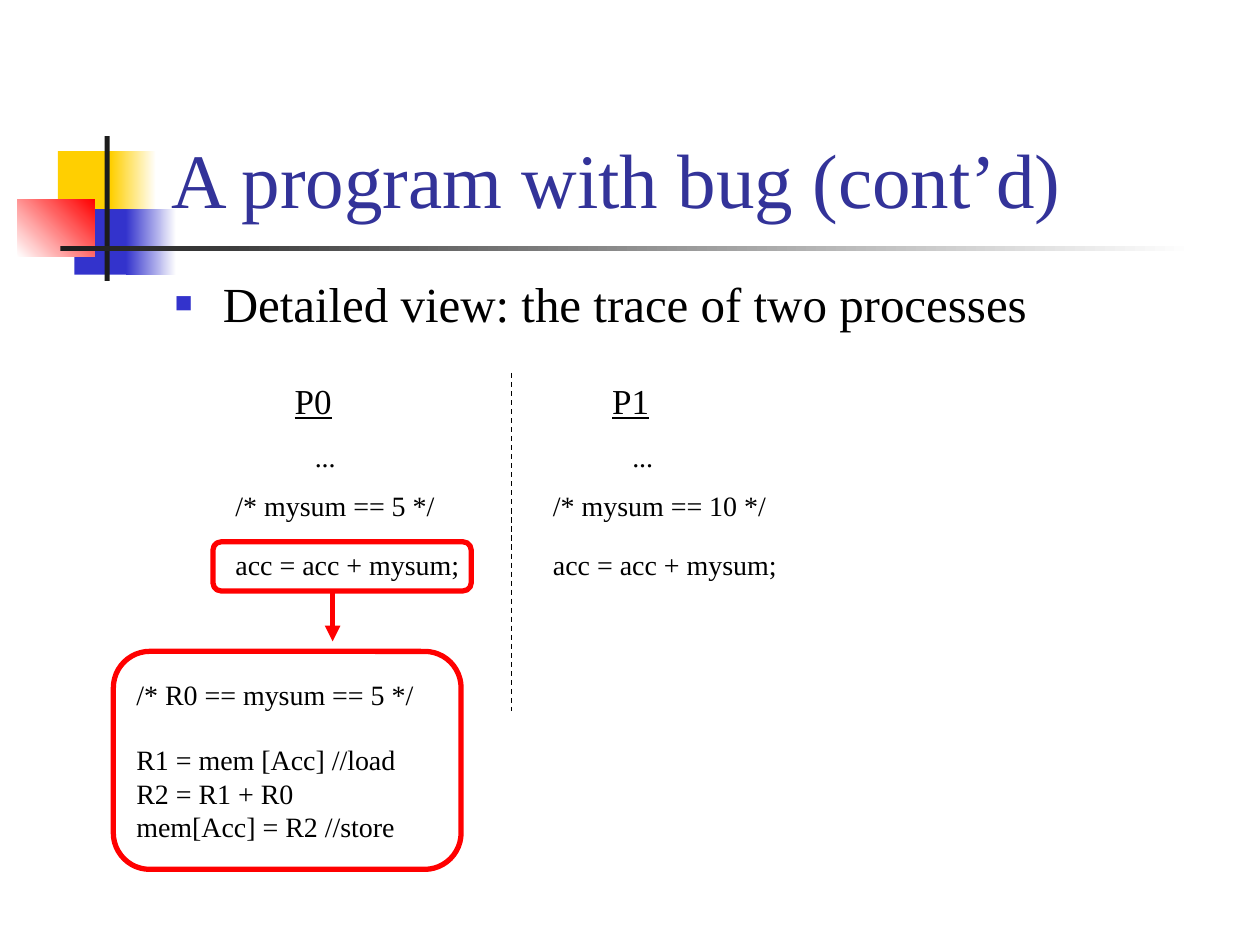
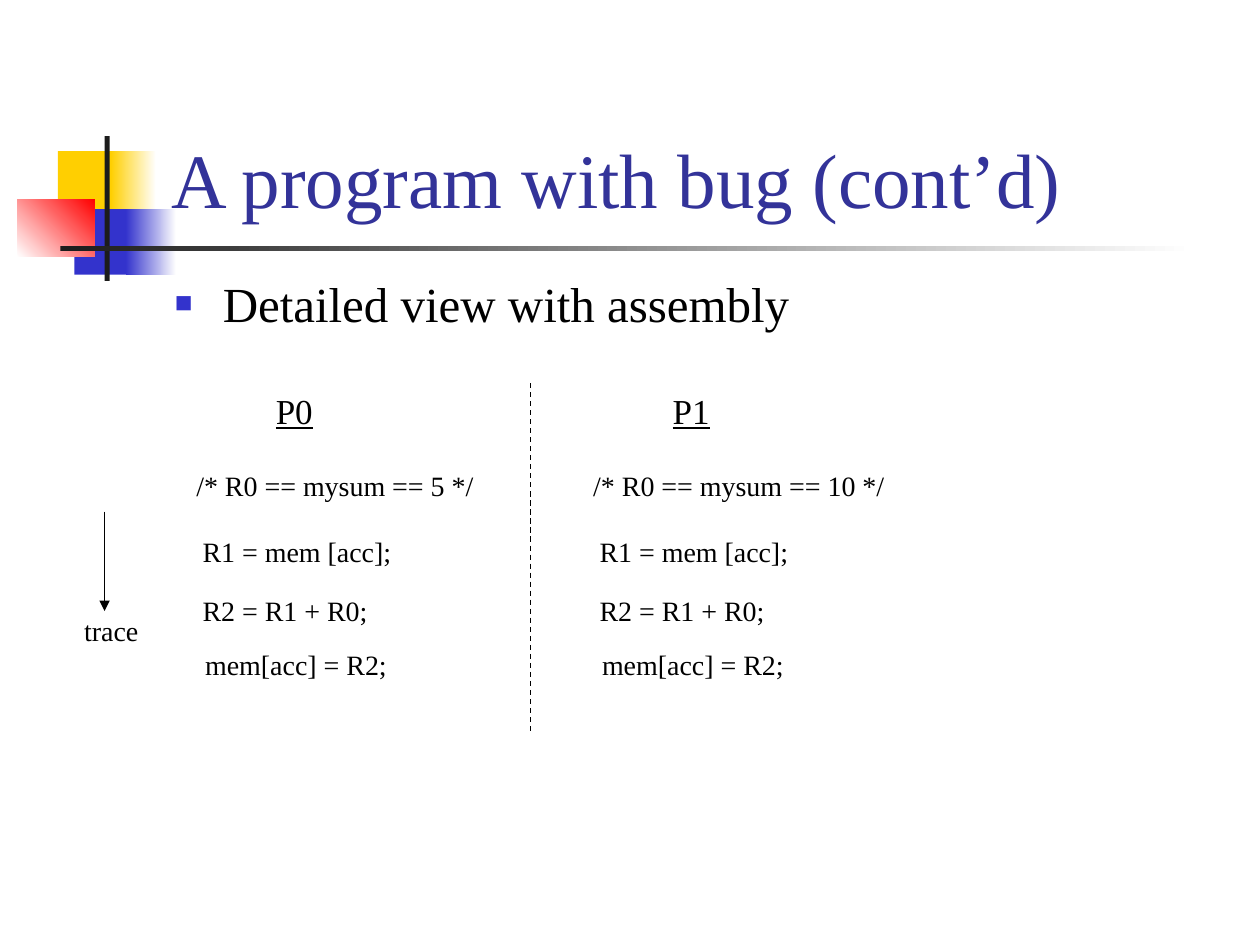
from dataclasses import dataclass
from typing import Optional

from lxml.etree import SubElement
from pptx import Presentation
from pptx.dml.color import RGBColor
from pptx.enum.dml import MSO_LINE
from pptx.enum.shapes import MSO_CONNECTOR, MSO_SHAPE
from pptx.enum.text import MSO_ANCHOR, MSO_AUTO_SIZE, PP_ALIGN
from pptx.oxml.ns import qn
from pptx.util import Inches, Pt

FONT = "Times New Roman"
BLACK = RGBColor(0x00, 0x00, 0x00)
WHITE = RGBColor(0xFF, 0xFF, 0xFF)
YELLOW = RGBColor(0xFF, 0xCF, 0x01)
BLUE = RGBColor(0x33, 0x33, 0xCC)
RED = RGBColor(0xFF, 0x00, 0x00)
CHARCOAL = RGBColor(0x1C, 0x1C, 0x1C)
TITLE_BLUE = RGBColor(0x33, 0x33, 0x99)

HEADING_SIZE = 20
CODE_SIZE = 16
HEADING_WIDTH = 0.52
DIGIT_WIDTH = 0.11


@dataclass
class Box:
    """A rectangle in inches."""
    left: float
    top: float
    width: float
    height: float

    def lengths(self):
        """Return the four measures as lengths."""
        return [Inches(v) for v in (self.left, self.top, self.width, self.height)]


@dataclass
class Block:
    """One block of the title ornament; fades when it has an end colour."""
    box: Box
    color: RGBColor
    end_color: Optional[RGBColor] = None
    angle: int = 0


@dataclass
class TraceRow:
    """One row of a process column, indented from the column's left edge."""
    text: str
    indent: float
    top: float
    width: float
    is_heading: bool = False


ORNAMENT = [
    Block(Box(0.46, 1.2, 0.48, 0.52), YELLOW),
    Block(Box(0.88, 1.2, 0.36, 0.52), YELLOW, WHITE),
    Block(Box(0.59, 1.66, 0.46, 0.52), BLUE),
    Block(Box(1, 1.66, 0.4, 0.52), BLUE, WHITE),
    Block(Box(0.14, 1.58, 0.61, 0.46), WHITE, RED, 45),
    Block(Box(0.83, 1.08, 0.04, 1.15), CHARCOAL),
    Block(Box(0.48, 1.95, 9, 0.04), CHARCOAL, WHITE),
]


def style_font(paragraph, size: float, color: RGBColor = BLACK) -> None:
    """Set the shared typeface with a size and a colour."""
    paragraph.font.name = FONT
    paragraph.font.size = Pt(size)
    paragraph.font.color.rgb = color


def add_block(slide, block: Block) -> None:
    """Draw one solid or fading block of the ornament."""
    shape = slide.shapes.add_shape(MSO_SHAPE.RECTANGLE, *block.box.lengths())
    shape.shadow.inherit = False
    shape.line.fill.background()
    if block.end_color is None:
        shape.fill.solid()
        shape.fill.fore_color.rgb = block.color
        return
    shape.fill.gradient()
    shape.fill.gradient_angle = block.angle
    for stop, color in zip(shape.fill.gradient_stops, (block.color, block.end_color)):
        stop.color.rgb = color


def add_title(slide, title: str) -> None:
    """Write the slide title, standing on the rule."""
    frame = slide.shapes.add_textbox(*Box(1.26, 0.23, 8.52, 1.6).lengths()).text_frame
    frame.word_wrap = True
    frame.vertical_anchor = MSO_ANCHOR.BOTTOM
    frame.text = title
    style_font(frame.paragraphs[0], 44, TITLE_BLUE)


def add_topic(slide, topic: str) -> None:
    """Write the topic line with its square bullet."""
    frame = slide.shapes.add_textbox(*Box(1.29, 2.21, 8.5, 0.52).lengths()).text_frame
    frame.word_wrap = True
    frame.text = topic
    paragraph = frame.paragraphs[0]
    style_font(paragraph, 28)
    paragraph.line_spacing = 0.8
    paragraph.space_before = Pt(5.6)
    properties = paragraph._p.get_or_add_pPr()
    properties.set("marL", str(Inches(0.38)))
    properties.set("indent", str(-Inches(0.38)))
    bullet = [
        SubElement(properties, qn("a:buClr")),
        SubElement(properties, qn("a:buSzPct")),
        SubElement(properties, qn("a:buFont")),
        SubElement(properties, qn("a:buChar")),
    ]
    SubElement(bullet[0], qn("a:srgbClr")).set("val", str(BLUE))
    bullet[1].set("val", "60000")
    bullet[2].set("typeface", FONT)
    bullet[3].set("char", "■")
    # The schema wants the bullet ahead of the default run properties.
    defaults = properties.find(qn("a:defRPr"))
    if defaults is not None:
        properties.append(defaults)


def add_label(slide, text: str, left: float, top: float, width: float,
              is_heading: bool = False) -> None:
    """Write one unwrapped line; headings are larger and underlined."""
    box = Box(left, top, width, 0.43 if is_heading else 0.37)
    frame = slide.shapes.add_textbox(*box.lengths()).text_frame
    frame.word_wrap = False
    frame.auto_size = MSO_AUTO_SIZE.SHAPE_TO_FIT_TEXT
    frame.text = text
    paragraph = frame.paragraphs[0]
    style_font(paragraph, HEADING_SIZE if is_heading else CODE_SIZE)
    if is_heading:
        paragraph.font.underline = True


def add_vertical(slide, x: float, top: float, bottom: float, color: RGBColor = BLACK,
                 weight: float = 0.75, dashed: bool = False, arrow: bool = False) -> None:
    """Draw a vertical line, dashed or with an arrowhead at its bottom."""
    line = slide.shapes.add_connector(
        MSO_CONNECTOR.STRAIGHT, Inches(x), Inches(top), Inches(x), Inches(bottom))
    line.line.color.rgb = color
    line.line.width = Pt(weight)
    if dashed:
        line.line.dash_style = MSO_LINE.DASH
    if arrow:
        SubElement(line.line._get_or_add_ln(), qn("a:tailEnd")).set("type", "triangle")
    SubElement(line._element.spPr, qn("a:effectLst"))


def add_highlight(slide, box: Box):
    """Draw a red rounded frame and return it."""
    frame = slide.shapes.add_shape(MSO_SHAPE.ROUNDED_RECTANGLE, *box.lengths())
    frame.adjustments[0] = 0.167
    frame.shadow.inherit = False
    frame.fill.background()
    frame.line.color.rgb = RED
    frame.line.width = Pt(3)
    return frame


def add_expansion(slide, box: Box, comment: str, instructions: list[str]) -> None:
    """Frame a comment and, one line below it, its instructions."""
    frame = add_highlight(slide, box).text_frame
    frame.word_wrap = False
    frame.vertical_anchor = MSO_ANCHOR.MIDDLE
    frame.text = "\n".join([comment, *instructions])
    for paragraph in frame.paragraphs:
        paragraph.alignment = PP_ALIGN.LEFT
        style_font(paragraph, CODE_SIZE)
    frame.paragraphs[1].space_before = Pt(18.4)


def add_processes(slide, left: float, pitch: float, rows: list[TraceRow]) -> None:
    """Draw the same trace for P0 and P1, each with its own mysum."""
    for process, mysum in enumerate(("5", "10")):
        for row in rows:
            extra = DIGIT_WIDTH * (len(mysum) - 1) if "{mysum}" in row.text else 0
            add_label(slide, row.text.format(process=process, mysum=mysum),
                      left + process * pitch + row.indent, row.top,
                      row.width + extra, row.is_heading)


def add_trace_slide(deck, topic: str):
    """Add a slide with the shared ornament, title and a topic line."""
    slide = deck.slides.add_slide(deck.slide_layouts[6])
    for block in ORNAMENT:
        add_block(slide, block)
    add_title(slide, "A program with bug (cont’d)")
    add_topic(slide, topic)
    return slide


def build_process_slide(deck) -> None:
    """Show both processes and expand the statement of P0."""
    slide = add_trace_slide(deck, "Detailed view: the trace of two processes")
    add_vertical(slide, 4.06, 2.96, 5.64, dashed=True)
    add_processes(slide, 1.77, 2.52, [
        TraceRow("P{process}", 0.47, 2.96, HEADING_WIDTH, is_heading=True),
        TraceRow("/* mysum == {mysum} */", 0, 3.83, 1.79),
        TraceRow("acc = acc + mysum;", 0, 4.3, 1.99),
        TraceRow("...", 0.63, 3.44, 0.37),
    ])
    add_expansion(slide, Box(0.9, 5.17, 2.76, 1.73), "/* R0 == mysum == 5 */",
                  ["R1 = mem [Acc] //load", "R2 = R1 + R0", "mem[Acc] = R2 //store"])
    add_highlight(slide, Box(1.69, 4.3, 2.05, 0.39))
    add_vertical(slide, 2.64, 4.69, 5.09, RED, 3, arrow=True)


def build_assembly_slide(deck) -> None:
    """Show both processes as assembly, with the direction of the trace."""
    slide = add_trace_slide(deck, "Detailed view with assembly")
    add_vertical(slide, 4.21, 3.04, 5.8, dashed=True)
    add_processes(slide, 1.46, 3.15, [
        TraceRow("P{process}", 0.63, 3.04, HEADING_WIDTH, is_heading=True),
        TraceRow("/* R0 == mysum == {mysum} */", 0, 3.67, 2.41),
        TraceRow("R1 = mem [acc];", 0.05, 4.19, 1.71),
        TraceRow("R2 = R1 + R0;", 0.05, 4.66, 1.51),
        TraceRow("mem[acc] = R2;", 0.07, 5.09, 1.65),
    ])
    add_vertical(slide, 0.83, 4.06, 4.85, arrow=True)
    add_label(slide, "trace", 0.57, 4.82, 0.64)


def main() -> None:
    """Build and save the two slides."""
    deck = Presentation()
    deck.slide_width = Inches(10)
    deck.slide_height = Inches(7.5)
    build_process_slide(deck)
    build_assembly_slide(deck)
    deck.save("out.pptx")


main()
